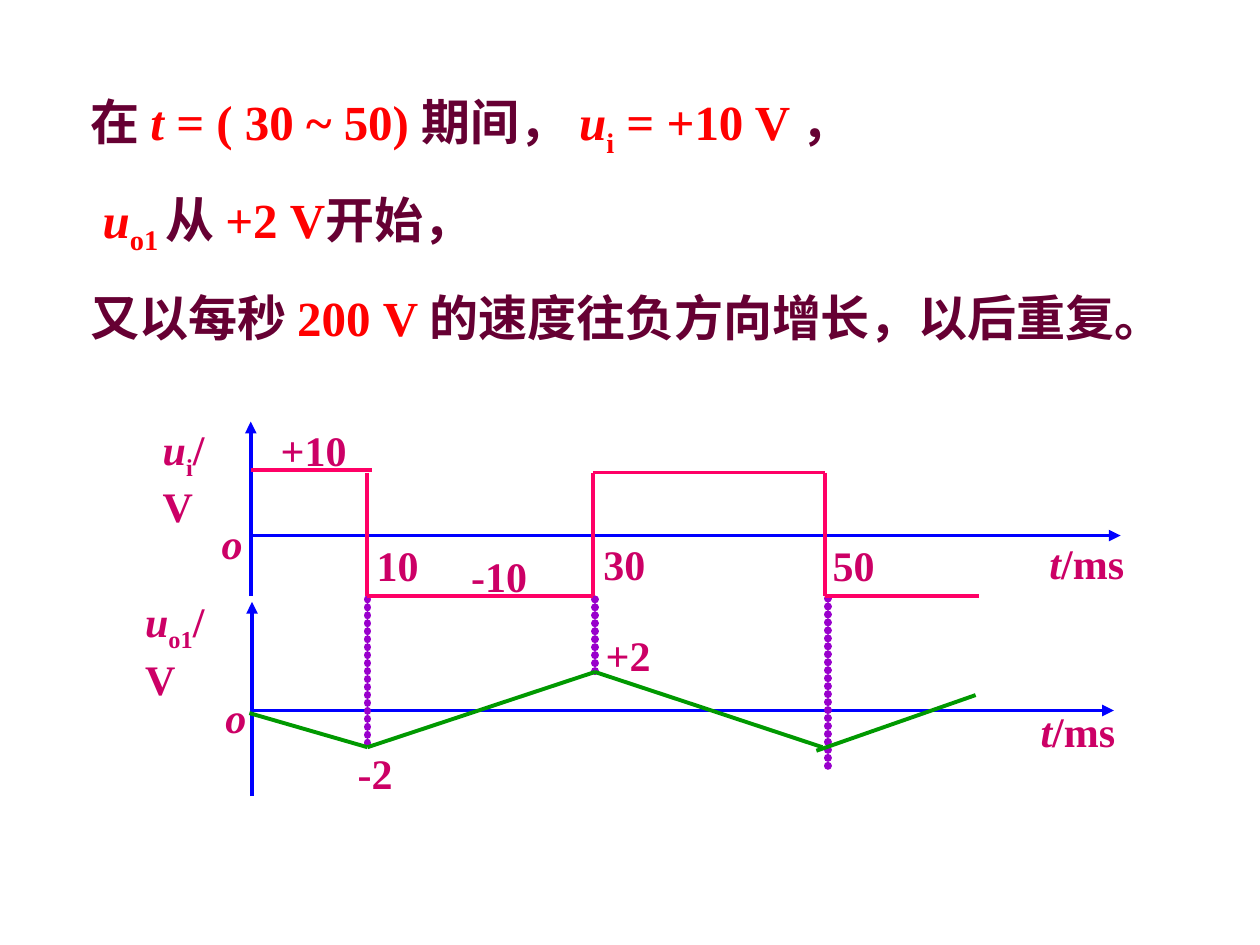
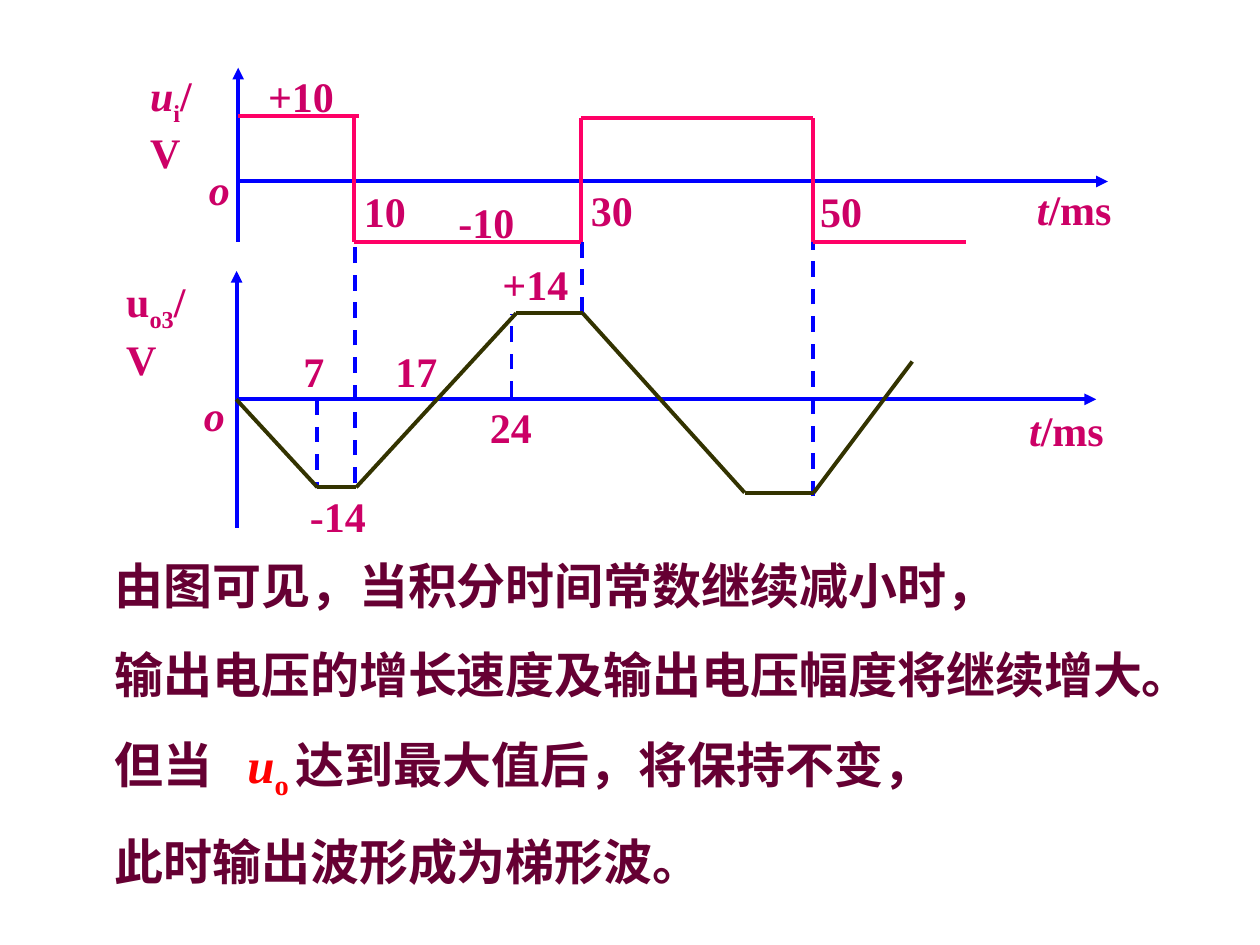
from dataclasses import dataclass
from itertools import pairwise
from typing import NamedTuple

from lxml.etree import SubElement
from pptx import Presentation
from pptx.dml.color import RGBColor
from pptx.enum.dml import MSO_LINE
from pptx.enum.shapes import MSO_CONNECTOR
from pptx.enum.text import MSO_AUTO_SIZE as AutoSize
from pptx.oxml.ns import qn
from pptx.util import Pt


# Theme
@dataclass(frozen=True)
class Theme:
    font: str = "Times New Roman"
    body: str = "660033"
    accent: str = "FF0000"
    label: str = "CC0066"
    axis: str = "0000FF"
    input_wave: str = "FF0066"
    integrator_wave: str = "009900"
    trapezoid_wave: str = "333300"
    dots: str = "9900CC"
    body_size: float = 28
    label_size: float = 24
    line: float = 2.25
    dot_size: float = 4.5
    body_gap: float = 17.5


THEME = Theme()


class Span(NamedTuple):
    text: str
    color: str | None = None
    italic: bool = False
    subscript: bool = False


class Line(NamedTuple):
    spans: list[Span]
    indent: float = 0
    tab: float = 0


class Label(NamedTuple):
    x: float
    y: float
    width: float
    spans: list[Span]


class Point(NamedTuple):
    x: float
    y: float


class Axes(NamedTuple):
    """Where the two axes cross, and how far they reach."""
    origin: Point
    right: float
    top: float
    bottom: float


class Guide(NamedTuple):
    x: float
    top: float
    bottom: float


def red(text: str, italic: bool = False, subscript: bool = False) -> Span:
    return Span(text, THEME.accent, italic, subscript)


def number(x: float, y: float, text: str) -> Label:
    """A value beside a curve, its box as wide as its signs and digits."""
    advance = {"+": 13.7, "-": 8}
    return Label(x, y, 14.4 + sum(advance.get(sign, 12) for sign in text), [Span(text)])


def origin_label(x: float, y: float) -> Label:
    return Label(x, y, 26, [Span("o", italic=True)])


def time_label(x: float, y: float) -> Label:
    return Label(x, y, 57, [Span("t", italic=True), Span("/ms")])


def voltage_label(x: float, y: float, width: float, index: str, italic: bool = True) -> Label:
    spans = [Span("u", italic=italic), Span(index, subscript=True), Span("/V")]
    return Label(x, y, width, spans)


# Text
def write(para, spans: list[Span], size: float, color: str) -> None:
    para.font.name = THEME.font
    para.font.size = Pt(size)
    para.font.bold = True
    para.font.color.rgb = RGBColor.from_string(color)
    for part in spans:
        span = para.add_run()
        span.text = part.text
        if part.color:
            span.font.color.rgb = RGBColor.from_string(part.color)
        if part.italic:
            span.font.italic = True
        if part.subscript:
            span._r.get_or_add_rPr().set("baseline", "-25000")


def add_body(page, x: float, y: float, width: float, height: float, lines: list[Line]) -> None:
    box = page.shapes.add_textbox(Pt(x), Pt(y), Pt(width), Pt(height))
    frame = box.text_frame
    frame.word_wrap = True
    for index, line in enumerate(lines):
        para = frame.add_paragraph() if index else frame.paragraphs[0]
        if index:
            para.space_before = Pt(THEME.body_gap)
        properties = para._p.get_or_add_pPr()
        if line.indent:
            properties.set("marL", str(Pt(line.indent)))
            properties.set("indent", "0")
        if line.tab:
            stops = SubElement(properties, qn("a:tabLst"))
            SubElement(stops, qn("a:tab"), pos=str(Pt(line.tab)), algn="l")
        write(para, line.spans, THEME.body_size, THEME.body)


def add_labels(page, labels: list[Label], origin: Point = Point(0, 0)) -> None:
    for label in labels:
        height = 40 if any(span.subscript for span in label.spans) else 36
        box = page.shapes.add_textbox(
            Pt(origin.x + label.x), Pt(origin.y + label.y), Pt(label.width), Pt(height))
        frame = box.text_frame
        frame.word_wrap = False
        frame.auto_size = AutoSize.SHAPE_TO_FIT_TEXT
        write(frame.paragraphs[0], label.spans, THEME.label_size, THEME.label)


# Lines
def add_line(page, start: Point, end: Point, color: str, width: float = THEME.line):
    line = page.shapes.add_connector(
        MSO_CONNECTOR.STRAIGHT, Pt(start.x), Pt(start.y), Pt(end.x), Pt(end.y))
    line.line.color.rgb = RGBColor.from_string(color)
    line.line.width = Pt(width)
    SubElement(line._element.spPr, qn("a:effectLst"))
    return line


def add_wave(page, corners: list[tuple[float, float]], color: str,
             origin: Point = Point(0, 0)) -> None:
    points = [Point(origin.x + x, origin.y + y) for x, y in corners]
    for start, end in pairwise(points):
        add_line(page, start, end, color)


def add_axes(page, axes: Axes) -> None:
    x, y = axes.origin
    for start, end in (
        (Point(x, y), Point(axes.right, y)),
        (Point(x, axes.bottom), Point(x, axes.top)),
    ):
        axis = add_line(page, start, end, THEME.axis)
        SubElement(axis.line._get_or_add_ln(), qn("a:tailEnd"), type="triangle")


def add_dashed_guides(page, guides: list[Guide]) -> None:
    for x, top, bottom in guides:
        guide = add_line(page, Point(x, top), Point(x, bottom), THEME.axis)
        guide.line.dash_style = MSO_LINE.DASH


def add_dotted_guides(page, guides: list[Guide]) -> None:
    for x, top, bottom in guides:
        guide = add_line(page, Point(x, top), Point(x, bottom), THEME.dots, THEME.dot_size)
        outline = guide.line._get_or_add_ln()
        outline.set("cap", "rnd")
        dash = SubElement(outline, qn("a:custDash"))
        SubElement(dash, qn("a:ds"), d="1000", sp="100000")


# Input square wave, the same on both slides
def add_input_graph(page, origin: Point) -> None:
    high, low = -36, 34.6
    first, second, third = 66.2, 195.8, 328.3
    add_axes(page, Axes(origin, origin.x + 497, origin.y - 65, origin.y + low))
    add_wave(page, [(0, -37.4), (69, -37.4)], THEME.input_wave, origin)
    add_wave(page, [(first, high), (first, low), (second, low), (second, high),
                    (third, high), (third, low), (416, low)], THEME.input_wave, origin)
    add_labels(page, [
        voltage_label(-57.4, -67.5, 55, "i"),
        number(10, -67, "+10"),
        origin_label(-23.8, -13.7),
        number(64.8, -1.4, "10"),
        number(118.8, 5, "-10"),
        number(194.4, -1.8, "30"),
        number(325.4, -1.4, "50"),
        time_label(449.3, -2.2),
    ], origin)


# Slide 1: triangular output
def build_triangle_slide(page) -> None:
    add_body(page, 44.6, 49, 653.8, 152.6, [
        Line([Span("在 "), red("t ", italic=True), red("= ( 30 ~ 50) "), Span("期间， "),
              red("u", italic=True), red("i", subscript=True), red(" = +10 V "), Span("，")]),
        Line([red("u", italic=True), red("o1 ", subscript=True), Span("从 "),
              red("+2 V"), Span("开始，")], indent=7),
        Line([Span("又以每秒 "), red("200 V "), Span("的速度往负方向增长，以后重复。")]),
    ])
    add_axes(page, Axes(Point(144, 406), 636.5, 344, 455))
    add_labels(page, [
        number(339, 356.4, "+2"),
        number(197.3, 423.4, "-2"),
        origin_label(121.7, 391.7),
        voltage_label(75.8, 337, 65, "o1"),
        time_label(587.5, 399.6),
    ])
    add_dotted_guides(page, [
        Guide(210, 342.5, 427), Guide(473, 342, 440.5), Guide(340, 342.5, 387.4)])
    add_input_graph(page, Point(143.3, 306))
    add_wave(page, [(142.5, 407.5), (210, 427), (340, 384), (470, 427)],
             THEME.integrator_wave)
    add_wave(page, [(466.5, 429), (557.5, 397.2)], THEME.integrator_wave)


# Slide 2: trapezoidal output
def build_trapezoid_slide(page) -> None:
    add_body(page, 58.3, 313.9, 661.7, 198.7, [
        Line([Span("由图可见，当积分时间常数继续减小时，")]),
        Line([Span("输出电压的增长速度及输出电压幅度将继续增大。")]),
        Line([Span("但当\t"), red("u", italic=True), red("o ", subscript=True),
              Span("达到最大值后，将保持不变，")], tab=76),
        Line([Span("此时输出波形成为梯形波。")]),
    ])
    add_axes(page, Axes(Point(135.2, 228.2), 626.4, 154.8, 301.7))
    add_dashed_guides(page, [
        Guide(332.6, 178.6, 133.2), Guide(181.4, 228.2, 278.6), Guide(292.3, 226.8, 179.3),
        Guide(203, 275.8, 139.7), Guide(464.4, 283.7, 137.5)])
    add_wave(page, [(135, 228.2), (181.4, 278.5), (203.5, 278.5), (295, 179), (333, 179),
                    (425.5, 281.5), (465, 281.5), (521.3, 206.6)], THEME.trapezoid_wave)
    add_labels(page, [
        origin_label(109.4, 218.9),
        voltage_label(65, 154, 65, "o3", italic=False),
        time_label(581, 227.5),
        number(170, 276.5, "-14"),
        number(280, 144, "+14"),
        number(166.3, 193.7, "7"),
        number(218.9, 193.7, "17"),
        number(272.9, 226, "24"),
    ])
    add_input_graph(page, Point(136.1, 103.7))


def main() -> None:
    deck = Presentation()
    deck.slide_width, deck.slide_height = Pt(720), Pt(540)
    for build in (build_triangle_slide, build_trapezoid_slide):
        build(deck.slides.add_slide(deck.slide_layouts[6]))
    deck.save("out.pptx")


if __name__ == "__main__":
    main()
